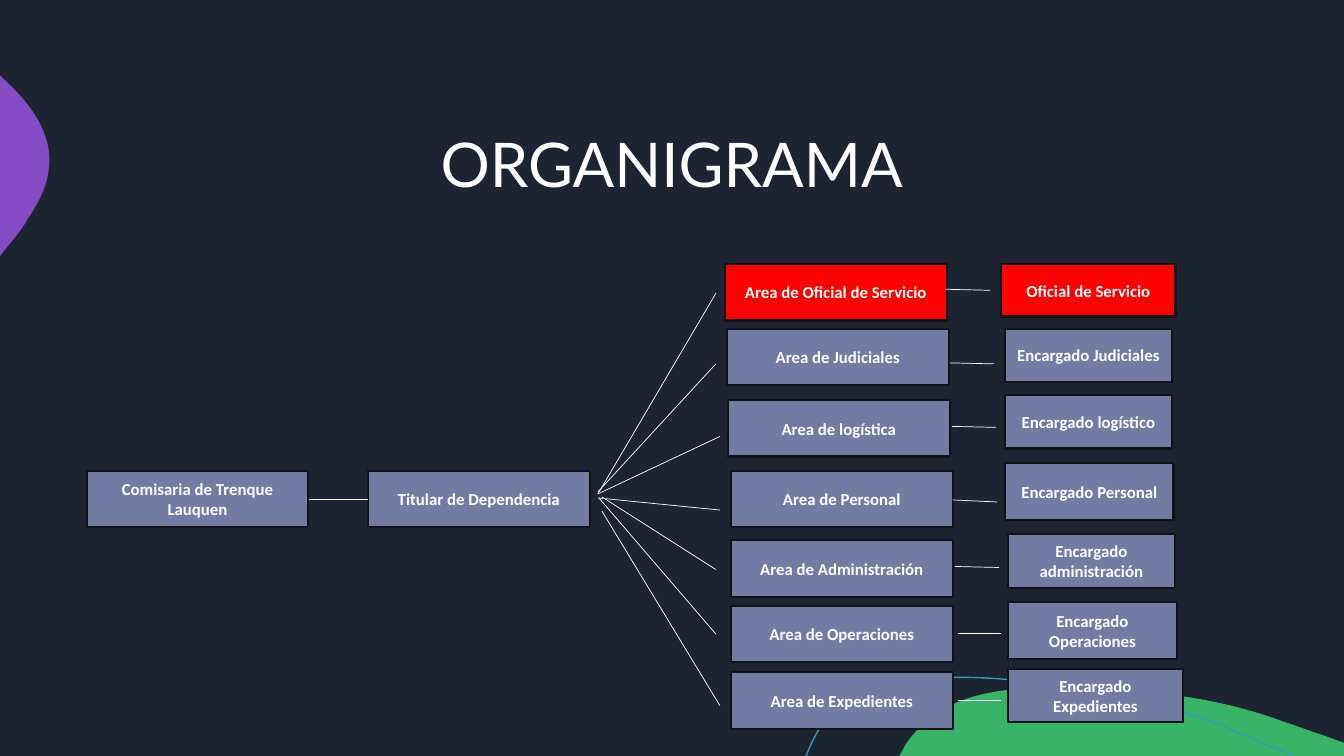
import pptx
import pptx.util
import pptx.dml.color
import pptx.enum.shapes
import pptx.enum.text
import pptx.oxml
import pptx.oxml.ns

Inches, Pt = pptx.util.Inches, pptx.util.Pt
RGBColor = pptx.dml.color.RGBColor
PP_ALIGN, MSO_ANCHOR = pptx.enum.text.PP_ALIGN, pptx.enum.text.MSO_ANCHOR
qn = pptx.oxml.ns.qn

NAVY = RGBColor(0x1C, 0x24, 0x32)
SLATE = RGBColor(0x72, 0x7C, 0xA3)
RED = RGBColor(0xFF, 0x00, 0x00)
BORDER = RGBColor(0x10, 0x12, 0x18)
WHITE = RGBColor(0xFF, 0xFF, 0xFF)
GREEN = RGBColor(0x39, 0xB3, 0x68)
PURPLE = RGBColor(0x84, 0x4B, 0xC5)
TEAL = RGBColor(0x39, 0x99, 0xB3)

# Content
TITLE = "ORGANIGRAMA"
BOX_W, BOX_H, ROOT_Y = 2.2, 0.56, 4.67
ROOTS = [("Comisaria de Trenque Lauquen", 0.86), ("Titular de Dependencia", 3.65)]

# area, (left, top), person in charge, (left, top, width, height), colour,
# fan line (from, to), link line (from, to)
ROWS = [
    ("Area de Oficial de Servicio", (7.19, 2.62), "Oficial de Servicio", (9.93, 2.62, 1.73, 0.52),
     RED, ((5.93, 4.9), (7.1, 2.91)), ((9.38, 2.87), (9.82, 2.88))),
    ("Area de Judiciales", (7.21, 3.26), "Encargado Judiciales", (9.97, 3.26, 1.65, 0.53),
     SLATE, ((5.93, 4.88), (7.1, 3.61)), ((9.42, 3.6), (9.86, 3.61))),
    ("Area de logística", (7.22, 3.97), "Encargado logístico", (9.97, 3.92, 1.65, 0.53),
     SLATE, ((5.93, 4.9), (7.14, 4.33)), ((9.44, 4.23), (9.88, 4.24))),
    ("Area de Personal", (7.25, 4.67), "Encargado Personal", (9.97, 4.59, 1.67, 0.57),
     SLATE, ((5.93, 4.94), (7.14, 5.06)), ((9.45, 4.96), (9.89, 4.98))),
    ("Area de Administración", (7.25, 5.36), "Encargado administración", (10, 5.3, 1.65, 0.53),
     SLATE, ((5.97, 4.93), (7.1, 5.65)), ((9.47, 5.62), (9.91, 5.63))),
    ("Area de Operaciones", (7.25, 6.01), "Encargado Operaciones", (10, 5.97, 1.67, 0.57),
     SLATE, ((5.94, 4.94), (7.1, 6.29)), ((9.5, 6.28), (9.93, 6.28))),
    ("Area de Expedientes", (7.25, 6.67), "Encargado Expedientes", (10, 6.64, 1.73, 0.52),
     SLATE, ((5.97, 5.07), (7.14, 7)), ((9.5, 6.95), (9.93, 6.95))),
]

# Outlines: a start point, then (x, y) lines or six-number Bézier curves
GREEN_HILL = [(10.54, 6.83), (11.28, 6.83, 12.04, 6.9, 12.73, 7.16),
              (12.86, 7.2, 12.98, 7.25, 13.11, 7.29), (13.33, 7.37), (13.33, 7.5),
              (8.92, 7.5), (8.98, 7.39), (9.02, 7.33, 9.06, 7.28, 9.11, 7.23),
              (9.39, 6.93, 9.82, 6.84, 10.23, 6.83), (10.33, 6.83, 10.43, 6.83, 10.54, 6.83)]
PURPLE_BLOB = [(0, 0.75), (0.01, 0.76), (0.3, 1.02, 0.54, 1.33, 0.48, 1.7),
               (0.46, 1.87, 0.37, 2.03, 0.27, 2.18), (0.24, 2.24, 0.17, 2.33, 0.08, 2.44),
               (0, 2.54)]
TEAL_CURVE = [(7.99, 7.5), (8, 7.49), (8.06, 7.33, 8.14, 7.19, 8.24, 7.08),
              (8.5, 6.81, 8.89, 6.73, 9.26, 6.72), (9.55, 6.72),
              (10.22, 6.72, 11, 6.89, 11.55, 7.02), (12.09, 7.15, 12.26, 7.27, 12.83, 7.5)]


def add_outline(s, outline, fill=None, line=None):
    points = [(Inches(seg[-2]), Inches(seg[-1])) for seg in outline]
    builder = s.shapes.build_freeform(*points[0])
    builder.add_line_segments(points[1:], close=fill is not None)
    sp = builder.convert_to_shape()

    # Bend the segments that have two control points
    for seg, el in zip(outline[1:], list(sp._element.iter(qn("a:lnTo")))):
        if len(seg) == 6:
            el.tag = qn("a:cubicBezTo")
            for i in (0, 1):
                pt = el.makeelement(qn("a:pt"), {"x": str(Inches(seg[2 * i]) - sp.left),
                                                 "y": str(Inches(seg[2 * i + 1]) - sp.top)})
                el.insert(i, pt)

    sp.shadow.inherit = False
    if fill is not None:
        sp.fill.solid()
        sp.fill.fore_color.rgb = fill
        sp.line.fill.background()
    else:
        sp.fill.background()
        sp.line.color.rgb = line
        sp.line.width = Pt(1)


def set_text(sp, text, font, size, bold):
    tf = sp.text_frame
    tf.word_wrap = True
    tf.vertical_anchor = MSO_ANCHOR.MIDDLE
    tf.text = text
    p = tf.paragraphs[0]
    p.alignment = PP_ALIGN.CENTER
    f = p.runs[0].font
    f.name, f.size, f.bold = font, Pt(size), bold
    f.color.rgb = WHITE


def add_box(s, text, x, y, w, h, color):
    sp = s.shapes.add_shape(pptx.enum.shapes.MSO_SHAPE.RECTANGLE,
                            Inches(x), Inches(y), Inches(w), Inches(h))
    sp.shadow.inherit = False
    sp.fill.solid()
    sp.fill.fore_color.rgb = color
    sp.line.color.rgb = BORDER
    sp.line.width = Pt(1.5)
    set_text(sp, text, "Calibri", 12, True)


def add_line(s, start, end):
    ln = s.shapes.add_connector(pptx.enum.shapes.MSO_CONNECTOR.STRAIGHT,
                                *(Inches(v) for v in start + end))
    ln.line.color.rgb = WHITE
    ln.line.width = Pt(0.5)
    ln._element.spPr.append(pptx.oxml.parse_xml(
        '<a:effectLst xmlns:a="http://schemas.openxmlformats.org/drawingml/2006/main"/>'))


def main():
    prs = pptx.Presentation()
    prs.slide_width, prs.slide_height = Inches(13.33), Inches(7.5)
    s = prs.slides.add_slide(prs.slide_layouts[5])
    s.background.fill.solid()
    s.background.fill.fore_color.rgb = NAVY

    # Background shapes
    add_outline(s, GREEN_HILL, fill=GREEN)
    add_outline(s, PURPLE_BLOB, fill=PURPLE)
    add_outline(s, TEAL_CURVE, line=TEAL)

    # Title
    title = s.shapes.title
    title.left, title.top = Inches(0.83), Inches(0.83)
    title.width, title.height = Inches(11.67), Inches(1.67)
    set_text(title, TITLE, "Lato", 44, False)
    title.text_frame.paragraphs[0].line_spacing = 0.9

    # Station and its head
    for text, x in ROOTS:
        add_box(s, text, x, ROOT_Y, BOX_W, BOX_H, SLATE)
    mid_y = ROOT_Y + BOX_H / 2
    add_line(s, (ROOTS[0][1] + BOX_W, mid_y), (ROOTS[1][1], mid_y))

    # Areas and the people in charge
    for area, area_at, person, person_at, color, fan, link in ROWS:
        add_box(s, area, *area_at, BOX_W, BOX_H, color)
        add_box(s, person, *person_at, color)
        add_line(s, *fan)
        add_line(s, *link)

    prs.save("out.pptx")


if __name__ == "__main__":
    main()
